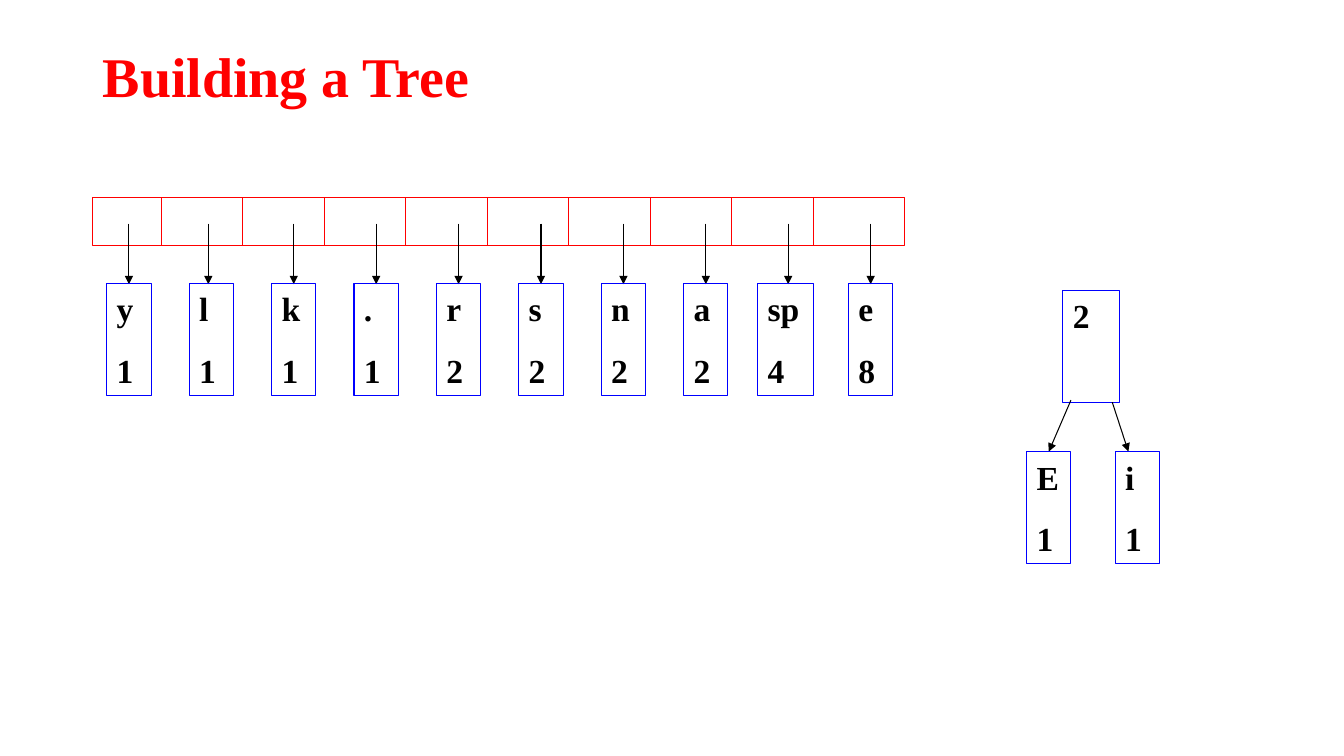
from lxml import etree
from pptx import Presentation
from pptx.dml.color import RGBColor
from pptx.enum.shapes import MSO_CONNECTOR, MSO_SHAPE
from pptx.enum.text import MSO_ANCHOR, PP_ALIGN
from pptx.oxml.ns import qn
from pptx.util import Inches, Pt

RECTANGLE = MSO_SHAPE.RECTANGLE
STRAIGHT = MSO_CONNECTOR.STRAIGHT
TOP, MIDDLE = MSO_ANCHOR.TOP, MSO_ANCHOR.MIDDLE
LEFT = PP_ALIGN.LEFT
FONT = "Times New Roman"
COLOURS = {"red": "FF0000", "blue": "0000FF", "black": "000000", "white": "FFFFFF"}
COLOURS = {name: RGBColor.from_string(value) for name, value in COLOURS.items()}

deck = Presentation()
deck.slide_width, deck.slide_height = Inches(13.34), Inches(7.5)
page = deck.slides.add_slide(deck.slide_layouts[5])


def add_line(start, end, colour, arrow=False):
    line = page.shapes.add_connector(STRAIGHT, *map(Inches, start + end))
    line.line.color.rgb = COLOURS[colour]
    line.line.width = Pt(0.75)
    if arrow:
        outline = line.line._get_or_add_ln()
        etree.SubElement(outline, qn("a:tailEnd"), type="triangle")
    etree.SubElement(line._element.spPr, qn("a:effectLst"))


def add_node(lines, left, top, width=0.44):
    node = page.shapes.add_shape(
        RECTANGLE, Inches(left), Inches(top), Inches(width), Inches(1.11))
    node.shadow.inherit = False
    node.fill.background()
    node.line.color.rgb = COLOURS["blue"]
    node.line.width = Pt(0.75)
    frame = node.text_frame
    frame.text = "\n".join(lines)
    frame.vertical_anchor = TOP
    for index, para in enumerate(frame.paragraphs):
        para.alignment = LEFT
        para.space_before = Pt(15 if index else 0)
        span = para.runs[0]
        span.font.name = FONT
        span.font.size = Pt(24)
        span.font.bold = True
        span.font.color.rgb = COLOURS["black"]


title = page.shapes.title
title.left, title.top = Inches(0.92), Inches(0.4)
title.width, title.height = Inches(11.5), Inches(0.77)
title.text_frame.text = "Building a Tree"
title.text_frame.vertical_anchor = MIDDLE
heading = title.text_frame.paragraphs[0]
heading.alignment = LEFT
heading.line_spacing = 0.9
span = heading.runs[0]
span.font.name = FONT
span.font.size = Pt(40)
span.font.bold = True
span.font.color.rgb = COLOURS["red"]

queue_top, queue_bottom = 1.96, 2.44
queue = page.shapes.add_shape(
    RECTANGLE, Inches(0.92), Inches(queue_top), Inches(8.06), Inches(0.48))
queue.shadow.inherit = False
queue.fill.solid()
queue.fill.fore_color.rgb = COLOURS["white"]
queue.line.color.rgb = COLOURS["red"]
queue.line.width = Pt(0.75)
for index in range(9):
    divider = 1.6 + 0.809 * index
    add_line((divider, queue_top), (divider, queue_bottom), "red")

symbols = ["y", "l", "k", ".", "r", "s", "n", "a", "sp", "e"]
counts = [1, 1, 1, 1, 2, 2, 2, 2, 4, 8]
arrow_shift = {"l": -0.03}
wide_boxes = {"sp": (7.52, 0.56)}
for index, (symbol, count) in enumerate(zip(symbols, counts)):
    offset = 0.818 * index
    centre = 1.28 + offset + arrow_shift.get(symbol, 0)
    add_line((centre, 2.22), (centre, 2.82), "black", arrow=True)
    left, width = wide_boxes.get(symbol, (1.06 + offset, 0.44))
    add_node([symbol, str(count)], left, 2.81, width)

add_node(["2"], 10.55, 2.88, 0.56)
children = [("E", 10.19, (10.63, 3.97), (10.41, 4.48)),
            ("i", 11.07, (11.04, 3.99), (11.2, 4.48))]
for symbol, left, start, end in children:
    add_line(start, end, "black", arrow=True)
    add_node([symbol, "1"], left, 4.48)

deck.save("out.pptx")
